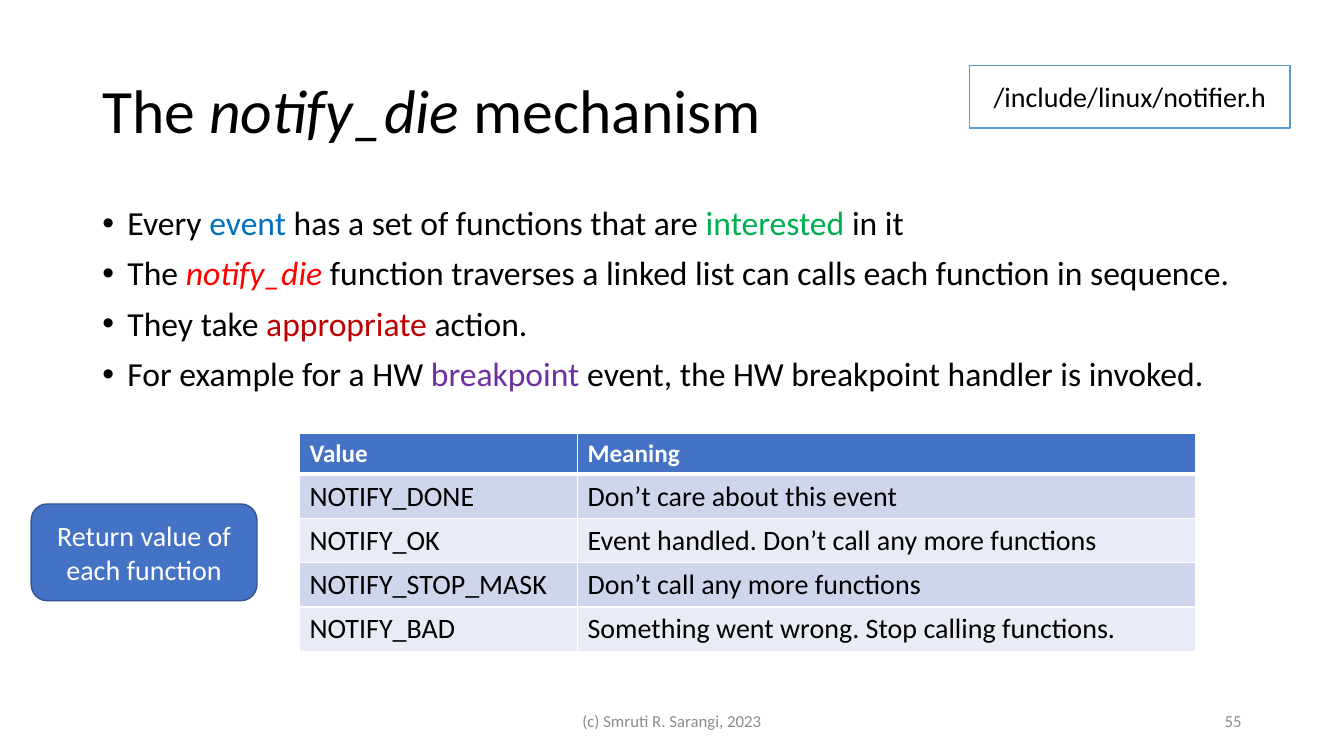
"""Build the slide on the notify_die mechanism."""
from dataclasses import dataclass
from typing import Optional

from lxml import etree
from pptx import Presentation
from pptx import util as u
from pptx.dml.color import RGBColor
from pptx.enum import shapes, text
from pptx.oxml import ns

Pt = u.Pt
FONT = "Calibri"
BLACK = RGBColor(0x00, 0x00, 0x00)
WHITE = RGBColor(0xFF, 0xFF, 0xFF)
GRAY = RGBColor(0x8C, 0x8C, 0x8C)
BLUE = RGBColor(0x00, 0x70, 0xC0)
GREEN = RGBColor(0x00, 0xB0, 0x50)
RED = RGBColor(0xFF, 0x00, 0x00)
DARK_RED = RGBColor(0xC0, 0x00, 0x00)
PURPLE = RGBColor(0x70, 0x30, 0xA0)
ACCENT = RGBColor(0x44, 0x72, 0xC4)
ACCENT_EDGE = RGBColor(0x32, 0x54, 0x91)
PATH_EDGE = RGBColor(0x5B, 0x9B, 0xD5)
BANDS = (RGBColor(0xCF, 0xD5, 0xEA), RGBColor(0xE9, 0xEB, 0xF5))

LEFT, MIDDLE = text.PP_ALIGN.LEFT, text.MSO_ANCHOR.MIDDLE
CENTER, RIGHT = text.PP_ALIGN.CENTER, text.PP_ALIGN.RIGHT


@dataclass(frozen=True)
class Span:
    words: str
    color: RGBColor = BLACK
    italic: bool = False


@dataclass(frozen=True)
class Block:
    left: float
    top: float
    width: float
    height: float
    size: float
    lines: tuple[tuple[Span, ...], ...]
    align: text.PP_ALIGN = LEFT
    anchor: text.MSO_ANCHOR = MIDDLE
    spacing: float = 1.0
    bullets: bool = False
    outline: Optional[shapes.MSO_SHAPE] = None
    fill: RGBColor = WHITE
    edge: RGBColor = WHITE


BLOCKS = (
    Block(66, 28.8, 828, 104.4, 44,
          ((Span("The "), Span("notify_die ", italic=True), Span("mechanism")),), spacing=0.9),
    Block(66, 144, 828, 150.5, 24, (
        (Span("Every "), Span("event", BLUE), Span(" has a set of functions that are "),
         Span("interested", GREEN), Span(" in it")),
        (Span("The "), Span("notify_die", RED, True),
         Span(" function traverses a linked list can calls each function in sequence.")),
        (Span("They take "), Span("appropriate", DARK_RED), Span(" action.")),
        (Span("For example for a HW "), Span("breakpoint", PURPLE),
         Span(" event, the HW breakpoint handler is invoked.")),
    ), anchor=text.MSO_ANCHOR.TOP, spacing=0.9, bullets=True),
    Block(318, 500.5, 324, 28.8, 12, ((Span("(c) Smruti R. Sarangi, 2023", GRAY),),), CENTER),
    Block(678, 500.5, 216, 28.8, 12, ((Span("55", GRAY),),), RIGHT),
    Block(22.3, 360, 161.3, 69.1, 20, ((Span("Return value of each function", WHITE),),), CENTER,
          outline=shapes.MSO_SHAPE.ROUNDED_RECTANGLE, fill=ACCENT, edge=ACCENT_EDGE),
    Block(692.6, 46.8, 229, 44.6, 20, ((Span("/include/linux/notifier.h"),),), CENTER,
          outline=shapes.MSO_SHAPE.RECTANGLE, edge=PATH_EDGE),
)

TABLE_LEFT, TABLE_TOP = 213.9, 309.6
COLUMN_WIDTHS = (198.6, 441.4)
HEADER_HEIGHT, ROW_HEIGHT = 29.2, 31.6
TABLE_ROWS = (
    ("Value", "Meaning"),
    ("NOTIFY_DONE", "Don’t care about this event"),
    ("NOTIFY_OK", "Event handled. Don’t call any more functions"),
    ("NOTIFY_STOP_MASK", "Don’t call any more functions"),
    ("NOTIFY_BAD", "Something went wrong. Stop calling functions."),
)


def style_run(run, size: float, color: RGBColor, italic: bool = False, bold: bool = False) -> None:
    font = run.font
    font.name, font.size, font.italic, font.bold = FONT, Pt(size), italic, bold
    font.color.rgb = color


def add_bullet(para) -> None:
    properties = para._p.get_or_add_pPr()
    properties.set("marL", str(Pt(18)))
    properties.set("indent", str(-Pt(18)))
    etree.SubElement(properties, ns.qn("a:buFont"), typeface="Arial")
    etree.SubElement(properties, ns.qn("a:buChar"), char="•")


def draw_block(page, block: Block) -> None:
    area = [Pt(length) for length in (block.left, block.top, block.width, block.height)]
    if block.outline is None:
        box = page.shapes.add_textbox(*area)
    else:
        box = page.shapes.add_shape(block.outline, *area)
        box.shadow.inherit = False
        box.fill.solid()
        box.fill.fore_color.rgb = block.fill
        box.line.color.rgb = block.edge
        box.line.width = Pt(1)
    frame = box.text_frame
    frame.word_wrap = True
    frame.vertical_anchor = block.anchor
    for index, line in enumerate(block.lines):
        para = frame.add_paragraph() if index else frame.paragraphs[0]
        if block.bullets:
            add_bullet(para)
        para.alignment = block.align
        para.line_spacing = block.spacing
        para.space_before = Pt(10 if index else 0)
        for span in line:
            run = para.add_run()
            run.text = span.words
            style_run(run, block.size, span.color, span.italic)


def add_borders(cell, bottom: float) -> None:
    properties = cell._tc.get_or_add_tcPr()
    for side, width in (("L", 1), ("R", 1), ("T", 1), ("B", bottom)):
        border = etree.SubElement(properties, ns.qn(f"a:ln{side}"), w=str(Pt(width)))
        fill = etree.SubElement(border, ns.qn("a:solidFill"))
        etree.SubElement(fill, ns.qn("a:srgbClr"), val=str(WHITE))


def draw_table(page) -> None:
    heights = [HEADER_HEIGHT] + [ROW_HEIGHT] * (len(TABLE_ROWS) - 1)
    table = page.shapes.add_table(
        len(TABLE_ROWS), len(COLUMN_WIDTHS), Pt(TABLE_LEFT), Pt(TABLE_TOP),
        Pt(sum(COLUMN_WIDTHS)), Pt(sum(heights))).table
    for column, width in zip(table.columns, COLUMN_WIDTHS):
        column.width = Pt(width)
    for index, (row, height, entries) in enumerate(zip(table.rows, heights, TABLE_ROWS)):
        row.height = Pt(height)
        header = index == 0
        for cell, entry in zip(row.cells, entries):
            add_borders(cell, 3 if header else 1)
            cell.fill.solid()
            cell.fill.fore_color.rgb = ACCENT if header else BANDS[(index - 1) % 2]
            cell.text_frame.text = entry
            run = cell.text_frame.paragraphs[0].runs[0]
            style_run(run, 18 if header else 20, WHITE if header else BLACK, bold=header)


def main() -> None:
    deck = Presentation()
    deck.slide_width, deck.slide_height = Pt(960), Pt(540)
    page = deck.slides.add_slide(deck.slide_layouts[6])
    for block in BLOCKS:
        draw_block(page, block)
    draw_table(page)
    deck.save("out.pptx")


if __name__ == "__main__":
    main()
